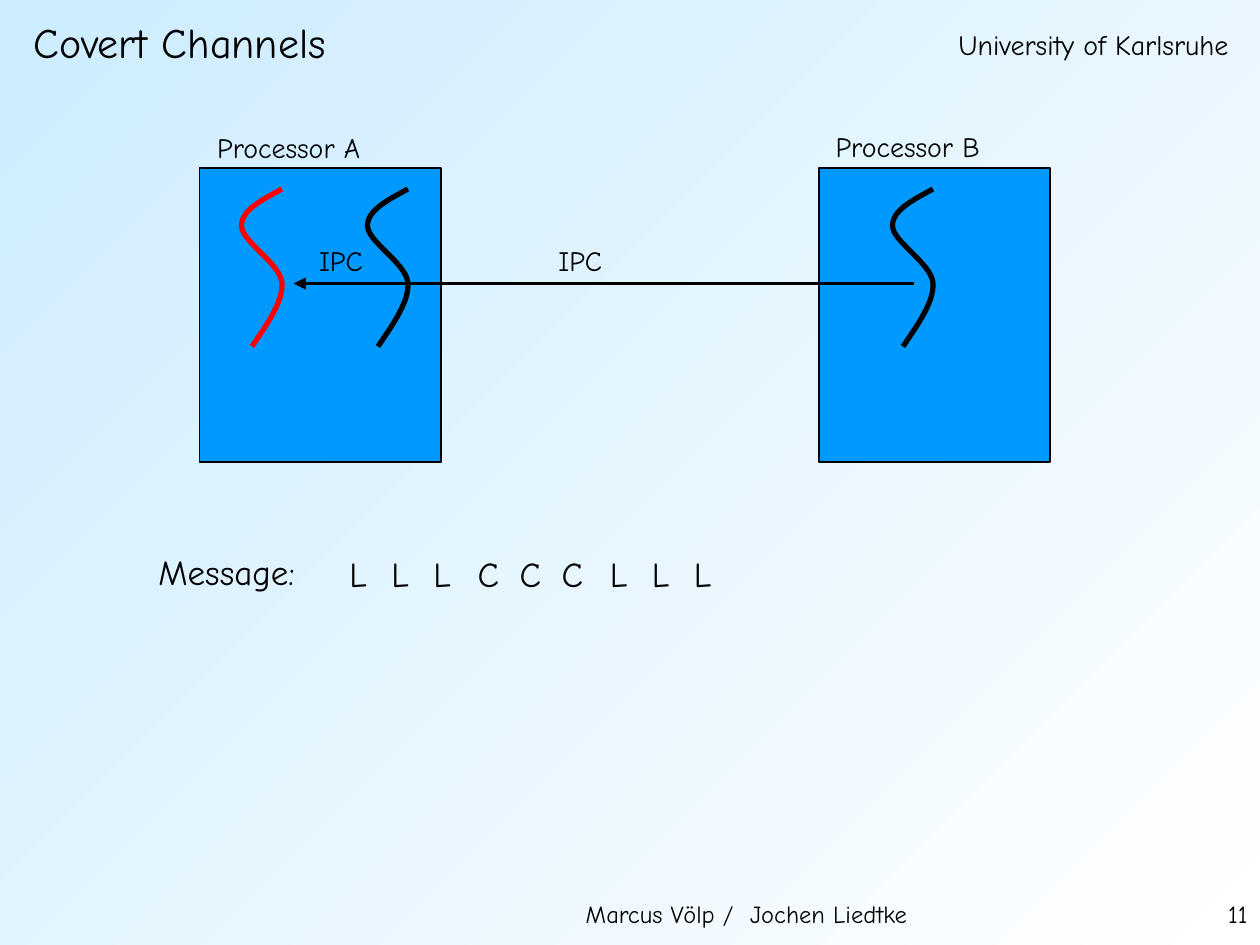
from lxml import etree
from pptx import Presentation
from pptx import util as u
from pptx.dml.color import RGBColor
from pptx.enum import shapes, text
from pptx.oxml.ns import qn

FONT = "Comic Neue"
BLACK, RED, BLUE = "000000", "FF0000", "0099FF"
LINE_HEIGHT = {14: 4.1, 16: 4.4, 20: 5.2}
rgb = RGBColor.from_string

prs = Presentation()
prs.slide_width, prs.slide_height = u.Inches(10), u.Inches(7.5)
cell = prs.slide_width / 120  # the slide is 120 columns by 90 rows


def grid(*cells):
    return [round(c * cell) for c in cells]


def label(words, col, row, width, size):
    """Add a one-line text box that grows with its text and return it."""
    tb = s.shapes.add_textbox(*grid(col, row, width, LINE_HEIGHT[size]))
    tf = tb.text_frame
    tf.text = words
    tf.word_wrap = False
    tf.auto_size = text.MSO_AUTO_SIZE.SHAPE_TO_FIT_TEXT
    font = tf.paragraphs[0].runs[0].font
    font.name, font.size, font.color.rgb = FONT, u.Pt(size), rgb(BLACK)
    return tb


s = prs.slides.add_slide(prs.slide_layouts[5])
fill = s.background.fill
fill.gradient()
fill.gradient_angle = 135
for stop, color in zip(fill.gradient_stops, ("FFFFFF", "CCECFF")):
    stop.color.rgb = rgb(color)

# Header and footer
title = s.shapes.title
title.left, title.top, title.width, title.height = grid(2, 1, 75, 6)
tf = title.text_frame
tf.text = "Covert Channels"
tf.auto_size = text.MSO_AUTO_SIZE.NONE
tf.vertical_anchor = text.MSO_ANCHOR.MIDDLE
p = tf.paragraphs[0]
p.alignment = text.PP_ALIGN.LEFT
font = p.runs[0].font
font.name, font.size, font.color.rgb = FONT, u.Pt(24), rgb(BLACK)

label("University of Karlsruhe", 90.1, 2, 28.2, 16)
label("Marcus Völp /  Jochen Liedtke", 54.6, 85, 33.2, 14)
number = label("11", 112, 85, 8, 14)
number.text_frame.word_wrap = True
number.text_frame.auto_size = text.MSO_AUTO_SIZE.NONE
number.text_frame.paragraphs[0].alignment = text.PP_ALIGN.RIGHT

# Processors
for name, col, width, name_col, name_row in (
    ("Processor B", 78, 22, 78.4, 11.7),
    ("Processor A", 19, 23, 19.5, 11.8),
):
    box = s.shapes.add_shape(shapes.MSO_SHAPE.RECTANGLE, *grid(col, 16, width, 28))
    box.shadow.inherit = False
    box.fill.solid()
    box.fill.fore_color.rgb = rgb(BLUE)
    box.line.color.rgb = rgb(BLACK)
    box.line.width = u.Pt(0.75)
    label(name, name_col, name_row, 16.2, 16)

# IPC arrows, pointing left
for ipc_col, end_col in ((29.2, 37), (52, 87)):
    label("IPC", ipc_col, 22.6, 6.6, 16)
    arrow = s.shapes.add_connector(
        shapes.MSO_CONNECTOR.STRAIGHT, *grid(28, 27, end_col, 27))
    arrow.line.color.rgb = rgb(BLACK)
    arrow.line.width = u.Pt(2.25)
    etree.SubElement(arrow.line._get_or_add_ln(), qn("a:headEnd"), type="triangle")
    etree.SubElement(arrow._element.spPr, qn("a:effectLst"))

# Threads: a start point, then three cubic curves of three points each
thread = [(3.85, 0), (1.95, 1.05), (0, 2), (0, 3.5), (0, 5), (3.6, 7),
          (3.85, 8.9), (4, 10.7), (2.45, 12.85), (1, 15)]
for col, color in ((23, RED), (85, BLACK), (35, BLACK)):
    points = [grid(col + x, 18 + y) for x, y in thread]
    builder = s.shapes.build_freeform(*points[0])
    builder.add_line_segments(points[1:], close=False)
    curve = builder.convert_to_shape()
    curve.shadow.inherit = False
    curve.fill.background()
    curve.line.color.rgb = rgb(color)
    curve.line.width = u.Pt(3)
    path = next(curve._element.iter(qn("a:path")))
    segments = path.findall(qn("a:lnTo"))
    for i in range(0, len(segments), 3):
        bezier = etree.SubElement(path, qn("a:cubicBezTo"))
        for segment in segments[i:i + 3]:
            bezier.append(segment[0])
            path.remove(segment)

# Message
label("Message:", 13.9, 51.8, 15.4, 20)
for letter, first_col, width in (("L", 32.1, 4.1), ("C", 44.3, 4.4), ("L", 56.9, 4.1)):
    for i in range(3):
        label(letter, first_col + 4 * i, 52, width, 20)

prs.save("out.pptx")
